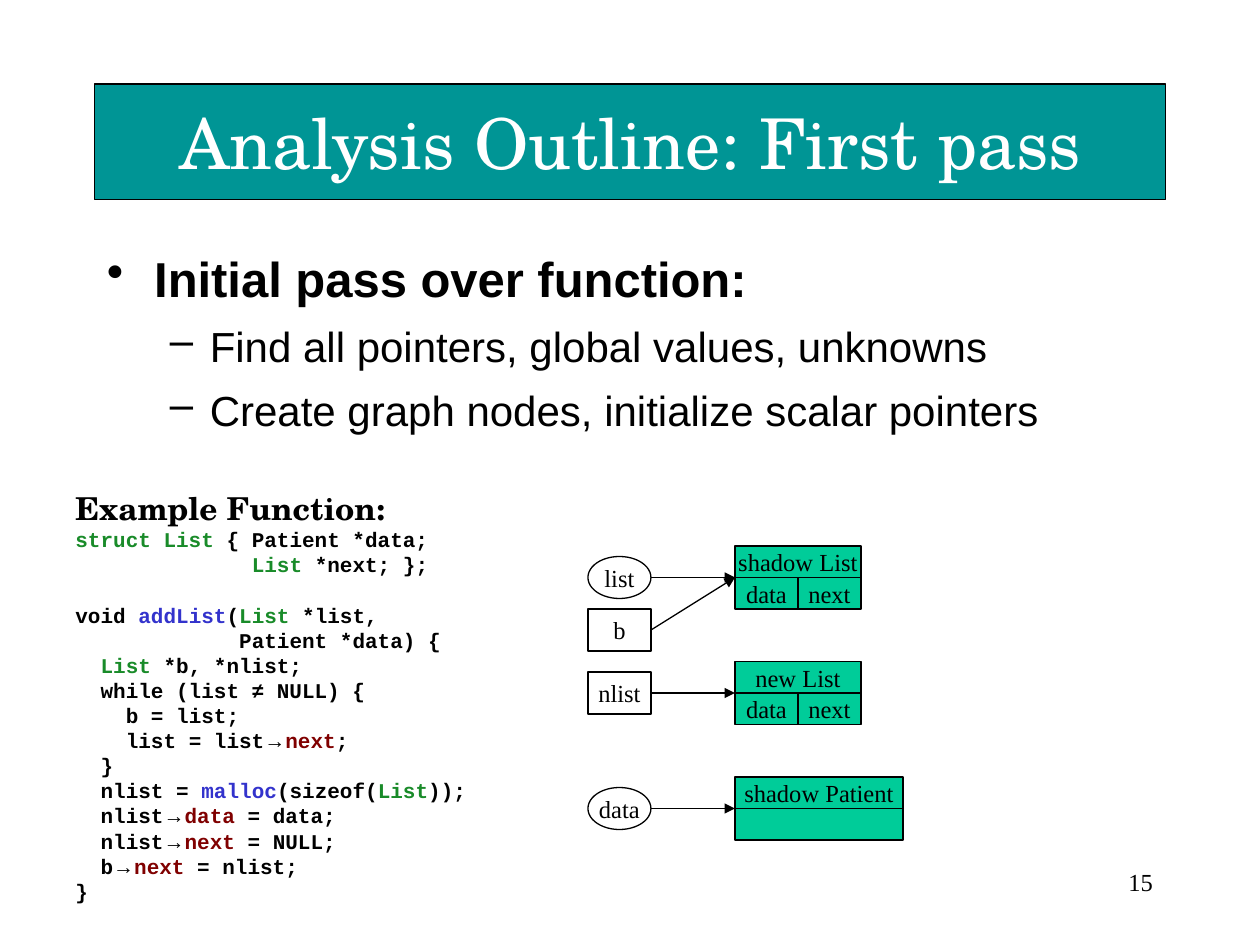
import pptx
import pptx.dml.color
import pptx.enum.shapes
import pptx.enum.text
import pptx.oxml
import pptx.oxml.ns
import pptx.util

SHAPES = pptx.enum.shapes.MSO_SHAPE
ALIGN = pptx.enum.text.PP_ALIGN
ANCHOR = pptx.enum.text.MSO_ANCHOR
COLORS = {
    "black": "000000", "white": "FFFFFF", "banner": "009595", "node": "00CC99",
    "type": "198B29", "function": "3333CC", "field": "800000",
}
SERIF, SANS, MONO, DISPLAY = "Times New Roman", "Arial", "Courier New", "TeX Gyre Schola"
CHARACTER = 12  # px width of one code character
LEFT, RIGHT = 1, 3  # connection sites of a rectangle


def px(length):
    """Turn px, 120 to the inch, into EMU."""
    return pptx.util.Emu(length * 7620)


def rgb(name):
    return pptx.dml.color.RGBColor.from_string(COLORS[name])


def add_xml(parent, tag, attributes="", children=""):
    namespace = pptx.oxml.ns.nsdecls("a")
    parent.append(pptx.oxml.parse_xml(
        f"<a:{tag} {namespace} {attributes}>{children}</a:{tag}>"))


def write(paragraph, *runs, font=SERIF, size=14, color="black", bold=False,
          align=ALIGN.LEFT, before=0, line_spacing=None, indent=0, hanging=0, bullet=None):
    """Fill a paragraph with strings or (string, color) pairs; arrows are set in the sans font."""
    paragraph.alignment = align
    paragraph.space_before = pptx.util.Pt(before)
    if line_spacing:
        paragraph.line_spacing = line_spacing
    properties = paragraph._p.get_or_add_pPr()
    properties.set("marL", str(px(indent)))
    properties.set("indent", str(px(-hanging)))
    if bullet:
        add_xml(properties, "buClr", children=f'<a:srgbClr val="{COLORS["black"]}"/>')
        add_xml(properties, "buChar", f'char="{bullet}"')
    for item in runs:
        text, run_color = (item, color) if isinstance(item, str) else item
        run = paragraph.add_run()
        run.text = text
        run.font.name = SANS if text == "→" else font
        run.font.size = pptx.util.Pt(size)
        run.font.bold = bold
        run.font.color.rgb = rgb(run_color)


class SlideBuilder:
    def __init__(self):
        self.presentation = pptx.Presentation()
        self.presentation.slide_width = px(1200)
        self.presentation.slide_height = px(900)
        self.slide = self.presentation.slides.add_slide(self.presentation.slide_layouts[5])

    def prepare_frame(self, shape, margins=(0, 0), anchor=ANCHOR.MIDDLE, wrap=True):
        frame = shape.text_frame
        frame.word_wrap = wrap
        frame.auto_size = pptx.enum.text.MSO_AUTO_SIZE.NONE
        frame.vertical_anchor = anchor
        frame.margin_left = frame.margin_right = px(margins[0])
        frame.margin_top = frame.margin_bottom = px(margins[1])
        return frame

    def outline(self, shape):
        shape.line.color.rgb = rgb("black")
        shape.line.width = pptx.util.Pt(0.75)

    def title(self, text, left, top, width, height):
        shape = self.slide.shapes.title
        shape.left, shape.top, shape.width, shape.height = map(px, (left, top, width, height))
        shape.fill.solid()
        shape.fill.fore_color.rgb = rgb("banner")
        self.outline(shape)
        frame = self.prepare_frame(shape, (6, 6))
        write(frame.paragraphs[0], text, font=DISPLAY, size=40, color="white", align=ALIGN.CENTER)

    def text_box(self, paragraphs, left, top, width, height, **frame_format):
        """Add a text box from (runs, format) pairs, one for each paragraph."""
        shape = self.slide.shapes.add_textbox(*map(px, (left, top, width, height)))
        frame = self.prepare_frame(shape, **frame_format)
        for number, (runs, text_format) in enumerate(paragraphs):
            paragraph = frame.add_paragraph() if number else frame.paragraphs[0]
            write(paragraph, *runs, **text_format)

    def label(self, text, left, top, width, height):
        self.text_box([([text], {"align": ALIGN.CENTER})], left, top, width, height, wrap=False)

    def shape(self, kind, left, top, width, height, fill=None, text=None):
        shape = self.slide.shapes.add_shape(kind, *map(px, (left, top, width, height)))
        shape.shadow.inherit = False
        if fill:
            shape.fill.solid()
            shape.fill.fore_color.rgb = rgb(fill)
        else:
            shape.fill.background()
        self.outline(shape)
        if text:
            frame = self.prepare_frame(shape, wrap=False)
            write(frame.paragraphs[0], text, align=ALIGN.CENTER)
        return shape

    def line(self, x1, y1, x2, y2, arrow=False):
        connector = self.slide.shapes.add_connector(
            pptx.enum.shapes.MSO_CONNECTOR.STRAIGHT, *map(px, (x1, y1, x2, y2)))
        self.outline(connector)
        if arrow:
            add_xml(connector.line._get_or_add_ln(), "tailEnd", 'type="triangle"')
        add_xml(connector._element.spPr, "effectLst")
        return connector

    def record(self, name, fields, top, width):
        """Draw a heap node: its name above a row of equal field cells."""
        left, row = 700, 30
        middle = top + row
        node = self.shape(SHAPES.RECTANGLE, left, top, width, 2 * row, fill="node")
        self.label(name, left, top, width, row)
        self.line(left, middle, left + width, middle)
        for number, field in enumerate(fields):
            cell = width // len(fields)
            x = left + number * cell
            if number:
                self.line(x, middle, x, middle + row)
            self.label(field, x, middle, cell, row)
        return node

    def variable(self, name, kind, middle, target):
        """Draw a scalar variable and the arrow to the node it points to."""
        left, width, height = 560, 60, 40
        shape = self.shape(kind, left, middle - height // 2, width, height, text=name)
        arrow = self.line(left + width, middle, left + width, middle, arrow=True)
        if kind == SHAPES.RECTANGLE:
            arrow.begin_connect(shape, RIGHT)
        arrow.end_connect(target, LEFT)


TYPE = ("List", "type")
NEXT = ("next", "field")
CODE = [  # indent in characters, then the runs of the line
    (0, [("struct List", "type"), " { Patient *data;"]),
    (14, [TYPE, " *next; };"]),
    (0, ["void ", ("addList", "function"), "(", TYPE, " *list,"]),
    (13, ["Patient *data) {"]),
    (2, [TYPE, " *b, *nlist;"]),
    (2, ["while (list ≠ NULL) {"]),
    (4, ["b = list;"]),
    (4, ["list = list", "→", NEXT, ";"]),
    (2, ["}"]),
    (2, ["nlist = ", ("malloc", "function"), "(sizeof(", TYPE, "));"]),
    (2, ["nlist", "→", ("data", "field"), " = data;"]),
    (2, ["nlist", "→", NEXT, " = NULL;"]),
    (2, ["b", "→", NEXT, " = nlist;"]),
    (0, ["}"]),
]
FUNCTION_START = 2  # line of CODE that stands one line apart
LINE_HEIGHT = 14.35


def main():
    builder = SlideBuilder()
    builder.title("Analysis Outline: First pass", 90, 80, 1020, 110)

    heading = dict(font=SANS, size=28, bold=True, before=7, line_spacing=1.2,
                   indent=45, hanging=45, bullet="•")
    point = dict(font=SANS, size=24, before=6, line_spacing=1.05,
                 indent=98, hanging=38, bullet="–")
    builder.text_box([
        (["Initial pass over function:"], heading),
        (["Find all pointers, global values, unknowns"], point),
        (["Create graph nodes, initialize scalar pointers"], point),
    ], 90, 220, 1060, 240, margins=(12, 6), anchor=ANCHOR.TOP)

    listing = [(["Example Function:"], dict(font=DISPLAY, size=18, bold=True))]
    for number, (characters, runs) in enumerate(CODE):
        listing.append((runs, dict(
            font=MONO, size=12, bold=True, indent=characters * CHARACTER,
            line_spacing=pptx.util.Pt(LINE_HEIGHT),
            before=LINE_HEIGHT if number == FUNCTION_START else 0)))
    builder.text_box(listing, 60, 460, 400, 408, margins=(12, 6), anchor=ANCHOR.TOP, wrap=False)

    shadow_list = builder.record("shadow List", ["data", "next"], 520, 120)
    new_list = builder.record("new List", ["data", "next"], 630, 120)
    shadow_patient = builder.record("shadow Patient", [], 740, 160)
    builder.variable("list", SHAPES.OVAL, 550, shadow_list)
    builder.variable("b", SHAPES.RECTANGLE, 600, shadow_list)
    builder.variable("nlist", SHAPES.RECTANGLE, 660, new_list)
    builder.variable("data", SHAPES.OVAL, 770, shadow_patient)

    builder.text_box([(["15"], {"align": ALIGN.RIGHT})], 860, 820, 250, 60,
                     margins=(12, 6), anchor=ANCHOR.TOP)
    builder.presentation.save("out.pptx")


if __name__ == "__main__":
    main()
